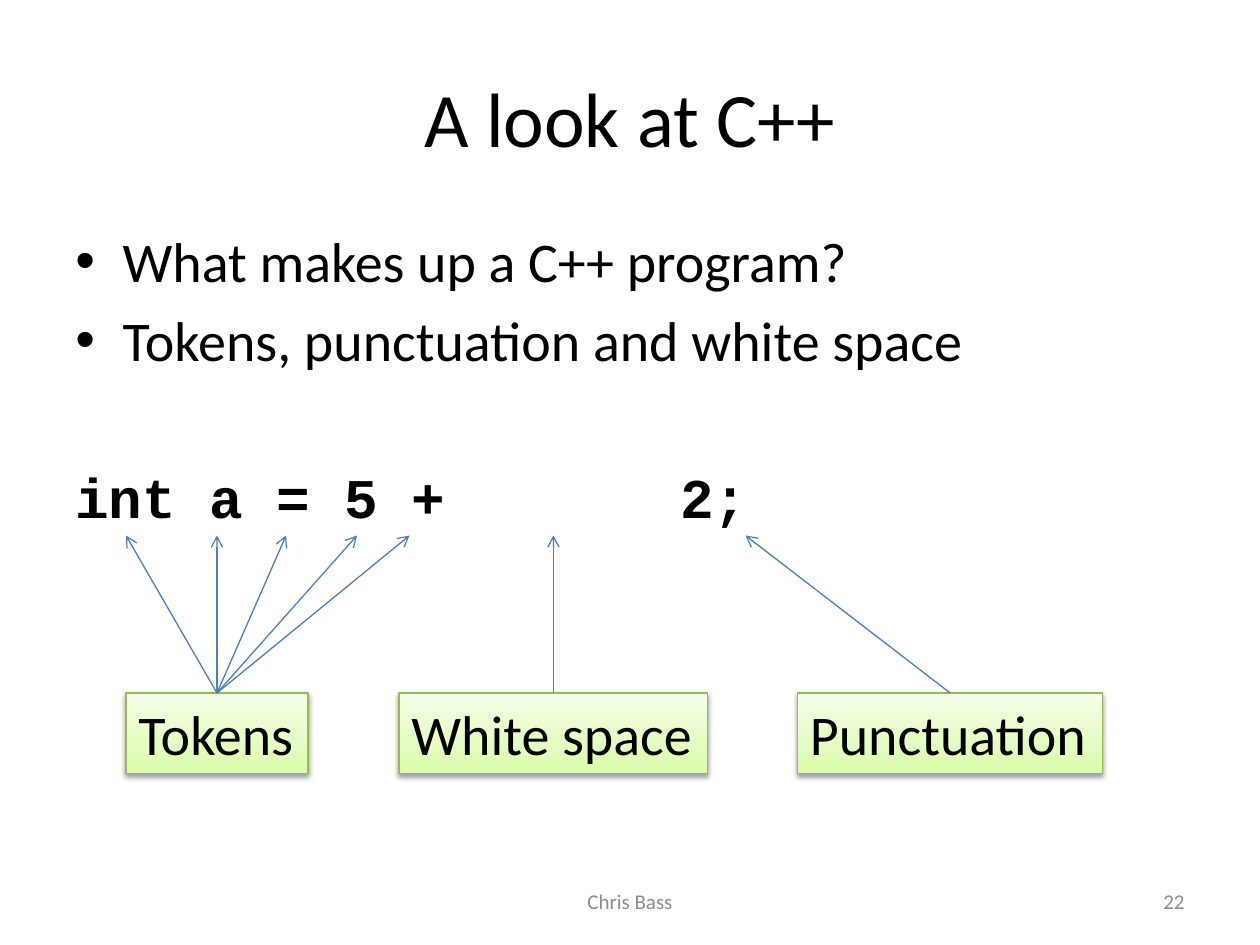
from pptx import Presentation
from pptx.dml.color import RGBColor
from pptx.enum.shapes import MSO_CONNECTOR, MSO_SHAPE
from pptx.enum.text import MSO_ANCHOR, MSO_AUTO_SIZE, PP_ALIGN
from pptx.oxml import parse_xml
from pptx.oxml.ns import nsdecls, qn
from pptx.util import Pt
from lxml.etree import SubElement

COLORS = {
    "text": "000000",
    "footer": "8C8C8C",
    "border": "98B955",
    "arrow": "4B7EBC",
    "green_low": "DAFDA7",
    "green_mid": "E4FCC2",
    "green_high": "F5FFE7",
    "shadow": "000000",
}


def style(paragraph, size, color="text", font="Calibri", bold=False):
    for run in paragraph.runs:
        run.font.size = Pt(size)
        run.font.name = font
        run.font.bold = bold
        run.font.color.rgb = RGBColor.from_string(COLORS[color])


def add_text(left, top, width, height, lines, size, color="text",
             align=PP_ALIGN.LEFT, anchor=MSO_ANCHOR.MIDDLE):
    frame = slide.shapes.add_textbox(Pt(left), Pt(top), Pt(width), Pt(height)).text_frame
    frame.word_wrap = True
    frame.vertical_anchor = anchor
    frame.text = "\n".join(lines)
    for paragraph in frame.paragraphs:
        paragraph.alignment = align
        style(paragraph, size, color)
    return frame.paragraphs


prs = Presentation()
prs.slide_width, prs.slide_height = Pt(720), Pt(540)
slide = prs.slides.add_slide(prs.slide_layouts[6])

add_text(36, 21.6, 648, 90, ["A look at C++"], 44, align=PP_ALIGN.CENTER)
add_text(246, 500.5, 228, 28.75, ["Chris Bass"], 12, "footer", PP_ALIGN.CENTER)
add_text(516, 500.5, 168, 28.75, ["22"], 12, "footer", PP_ALIGN.RIGHT)

*bullets, code = add_text(
    36, 126, 648, 356.4,
    ["What makes up a C++ program?", "Tokens, punctuation and white space", "int a = 5 +       2;"],
    32, anchor=MSO_ANCHOR.TOP)
for bullet in bullets:
    bullet.space_before = Pt(6.4)
    properties = bullet._p.get_or_add_pPr()
    properties.set("marL", str(Pt(27)))
    properties.set("indent", str(Pt(-27)))
    SubElement(properties, qn("a:buFont"), typeface="Arial")
    SubElement(properties, qn("a:buChar"), char="•")
code.space_before = Pt(51.5)
style(code, 32, font="Courier New", bold=True)

label_top, label_height, arrow_top = 396, 46, 306
labels = [
    ("Tokens", 72, 104, [72, 124, 163.5, 204, 234]),
    ("Punctuation", 455.75, 174.5, [426]),
    ("White space", 228, 176.5, [316.25]),
]
stops = [(0, "green_low"), (35, "green_mid"), (100, "green_high")]
stops_xml = "".join(
    f'<a:gs pos="{position * 1000}"><a:srgbClr val="{COLORS[name]}"/></a:gs>'
    for position, name in stops)

for name, left, width, targets in labels:
    label = slide.shapes.add_shape(
        MSO_SHAPE.RECTANGLE, Pt(left), Pt(label_top), Pt(width), Pt(label_height))
    label.fill.gradient()
    label.fill.gradient_angle = 90
    gradient = label._element.spPr.find(qn("a:gradFill"))
    gradient.replace(gradient.find(qn("a:gsLst")),
                     parse_xml(f'<a:gsLst {nsdecls("a")}>{stops_xml}</a:gsLst>'))
    label.line.color.rgb = RGBColor.from_string(COLORS["border"])
    label.line.width = Pt(0.75)
    label.shadow.inherit = False
    label._element.spPr.find(qn("a:effectLst")).append(parse_xml(
        f'<a:outerShdw {nsdecls("a")} blurRad="{Pt(3.1)}" dist="{Pt(1.6)}" dir="5400000" '
        f'rotWithShape="0"><a:srgbClr val="{COLORS["shadow"]}"><a:alpha val="38000"/>'
        f'</a:srgbClr></a:outerShdw>'))
    frame = label.text_frame
    frame.text = name
    frame.word_wrap = False
    frame.auto_size = MSO_AUTO_SIZE.SHAPE_TO_FIT_TEXT
    frame.vertical_anchor = MSO_ANCHOR.TOP
    frame.paragraphs[0].alignment = PP_ALIGN.LEFT
    style(frame.paragraphs[0], 32)

    for target in targets:
        arrow = slide.shapes.add_connector(
            MSO_CONNECTOR.STRAIGHT, Pt(left + width / 2), Pt(label_top), Pt(target), Pt(arrow_top))
        arrow.line.color.rgb = RGBColor.from_string(COLORS["arrow"])
        arrow.line.width = Pt(0.75)
        SubElement(arrow.line._get_or_add_ln(), qn("a:tailEnd"), type="arrow")
        SubElement(arrow._element.spPr, qn("a:effectLst"))

prs.save("out.pptx")
